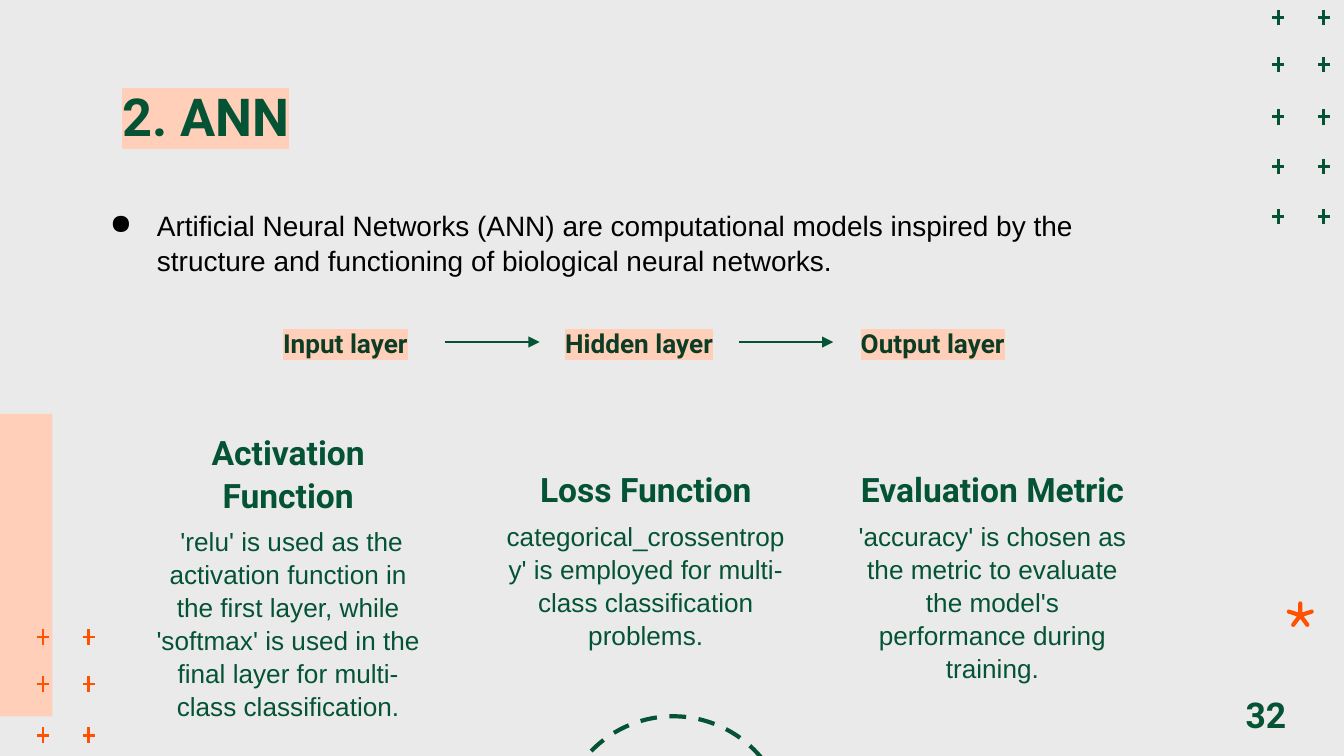
from itertools import pairwise, product

from lxml import etree
from pptx import Presentation
from pptx.dml.color import RGBColor
from pptx.enum.dml import MSO_LINE
from pptx.enum.shapes import MSO_CONNECTOR, MSO_SHAPE
from pptx.enum.text import MSO_ANCHOR, MSO_AUTO_SIZE, PP_ALIGN
from pptx.oxml.ns import qn
from pptx.util import Inches, Pt

STRAIGHT = MSO_CONNECTOR.STRAIGHT
DASH = MSO_LINE.DASH
RECTANGLE, STAR, OVAL = MSO_SHAPE.RECTANGLE, MSO_SHAPE.STAR_5_POINT, MSO_SHAPE.OVAL
TOP, MIDDLE, BOTTOM = MSO_ANCHOR.TOP, MSO_ANCHOR.MIDDLE, MSO_ANCHOR.BOTTOM
LEFT, CENTER = PP_ALIGN.LEFT, PP_ALIGN.CENTER
FIXED, GROW = MSO_AUTO_SIZE.NONE, MSO_AUTO_SIZE.SHAPE_TO_FIT_TEXT
RIGHT_SIDE, LEFT_SIDE = 3, 1

COLUMNS, ROWS = 100, 56.25
GREEN, DARK_GREEN, ORANGE = "035334", "0C3D24", "FF5100"
PEACH, GREY, BLACK = "FFCFB9", "EAEAEA", "000000"

INTRO = ("Artificial Neural Networks (ANN) are computational models inspired by the "
         "structure and functioning of biological neural networks.")
LAYERS = ["Input layer", "Hidden layer", "Output layer"]
CARDS = [
    ((10.1, 33.9), "Activation Function",
     " 'relu' is used as the activation function in the first layer, while "
     "'softmax' is used in the final layer for multi-class classification."),
    ((36.7, 33.5), "Loss Function",
     "categorical_crossentropy' is employed for multi-class classification problems."),
    ((62.5, 33.5), "Evaluation Metric",
     "'accuracy' is chosen as the metric to evaluate the model's performance during training."),
]


def cells(*counts):
    return [Inches(count / 10) for count in counts]


def color(code):
    return RGBColor.from_string(code)


def add_xml(parent, tag, **attributes):
    return etree.SubElement(parent, qn(tag), attributes)


def write(shape, text, size, code, font="Roboto", bold=True, align=CENTER, anchor=TOP,
          auto_size=FIXED):
    frame = shape.text_frame
    frame.word_wrap = True
    frame.auto_size = auto_size
    frame.vertical_anchor = anchor
    frame.margin_left = frame.margin_right = frame.margin_top = frame.margin_bottom = Inches(0.1)
    para = frame.paragraphs[0]
    para.add_run().text = text
    para.alignment = align
    para.line_spacing = 1.05
    para.font.name, para.font.size, para.font.bold = font, Pt(size), bold
    para.font.color.rgb = color(code)
    return para


def add_text(page, box, *content, **style):
    shape = page.shapes.add_textbox(*cells(*box))
    return shape, write(shape, *content, **style)


def highlight(para):
    for span in para.runs:
        mark = add_xml(span._r.get_or_add_rPr(), "a:highlight")
        add_xml(mark, "a:srgbClr", val=PEACH)


def add_bullet(para, hanging, gap):
    settings = para._p.get_or_add_pPr()
    settings.set("marL", str(Inches(hanging)))
    settings.set("indent", str(-Inches(gap)))
    tint = add_xml(settings, "a:buClr")
    add_xml(tint, "a:srgbClr", val=BLACK)
    sign = add_xml(settings, "a:buChar", char="●")
    defaults = settings.find(qn("a:defRPr"))
    defaults.addprevious(tint)
    defaults.addprevious(sign)


def add_line(page, start, end, code):
    line = page.shapes.add_connector(STRAIGHT, *cells(*start, *end))
    line.line.color.rgb = color(code)
    line.line.width = Pt(1.5)
    add_xml(line._element.spPr, "a:effectLst")
    return line


def add_shape(page, kind, box, fill=None, outline=None):
    shape = page.shapes.add_shape(kind, *cells(*box))
    shape.shadow.inherit = False
    if fill:
        shape.fill.solid()
        shape.fill.fore_color.rgb = color(fill)
    else:
        shape.fill.background()
    if outline:
        shape.line.color.rgb = color(outline)
        shape.line.width = Pt(2.25)
    else:
        shape.line.fill.background()
    return shape


def add_plus_grid(page, left, rows, code):
    for y, x in product(rows, (left, left + 3.4)):
        add_line(page, (x, y - 0.57), (x, y + 0.57), code)
        add_line(page, (x - 0.45, y), (x + 0.45, y), code)


def add_decoration(page):
    add_shape(page, RECTANGLE, (-6.5, 30.8, 10.4, 22.5), fill=PEACH)
    add_plus_grid(page, 3.2, (47.4, 50.9, 54.7), ORANGE)
    add_plus_grid(page, 95.1, (1.3, 4.8, 8.7, 12.4, 16.1), GREEN)
    star = add_shape(page, STAR, (95.9, 44.9, 1.7, 1.6), fill=ORANGE, outline=ORANGE)
    star.adjustments[0] = 0
    circle = add_shape(page, OVAL, (41.6, 53.3, 17, 17), outline=GREEN)
    circle.line.dash_style = DASH


def add_title(page, box, text):
    title = page.shapes.title
    title.left, title.top, title.width, title.height = cells(*box)
    highlight(write(title, text, 28, GREEN, align=LEFT))


def add_intro(page, box):
    para = add_text(page, box, INTRO, 15, BLACK, font="Arial", bold=False,
                    align=LEFT, auto_size=GROW)[1]
    add_bullet(para, 0.5, 0.35)


def add_layer_flow(page, box):
    left, top, width, height = box
    label_width = 14.8
    step = (width - label_width) / (len(LAYERS) - 1)
    labels = []
    for index, name in enumerate(LAYERS):
        label, para = add_text(page, (left + index * step, top, label_width, height),
                               name, 14, DARK_GREEN, anchor=MIDDLE)
        para.space_after = Pt(12)
        highlight(para)
        labels.append(label)
    for source, target in pairwise(labels):
        arrow = add_line(page, (0, 0), (1, 1), GREEN)
        arrow.begin_connect(source, RIGHT_SIDE)
        arrow.end_connect(target, LEFT_SIDE)
        add_xml(arrow.line._get_or_add_ln(), "a:tailEnd", type="triangle")


def add_card(page, box, heading, body):
    left, top, width, height = box
    heading_height, overlap = 5.4, 1.3
    body_top = top + heading_height - overlap
    add_text(page, (left, top, width, heading_height), heading, 18, GREEN, anchor=BOTTOM)
    add_text(page, (left, body_top, width, top + height - body_top), body, 14, GREEN,
             font="Arial", bold=False)


def main():
    deck = Presentation()
    deck.slide_width, deck.slide_height = cells(COLUMNS, ROWS)
    page = deck.slides.add_slide(deck.slide_layouts.get_by_name("Title Only"))
    page.background.fill.solid()
    page.background.fill.fore_color.rgb = color(GREY)
    add_decoration(page)
    add_title(page, (8.1, 5, 83.9, 6.3), "2. ANN")
    add_text(page, (90.4, 51.5, 7.6, 3.1), "32", 19, GREEN, anchor=MIDDLE)
    add_intro(page, (5.7, 14.4, 83, 7.1))
    add_layer_flow(page, (18.3, 22.9, 58.5, 5.1))
    for corner, heading, body in CARDS:
        add_card(page, (*corner, 22.7, 10.7), heading, body)
    deck.save("out.pptx")


if __name__ == "__main__":
    main()
